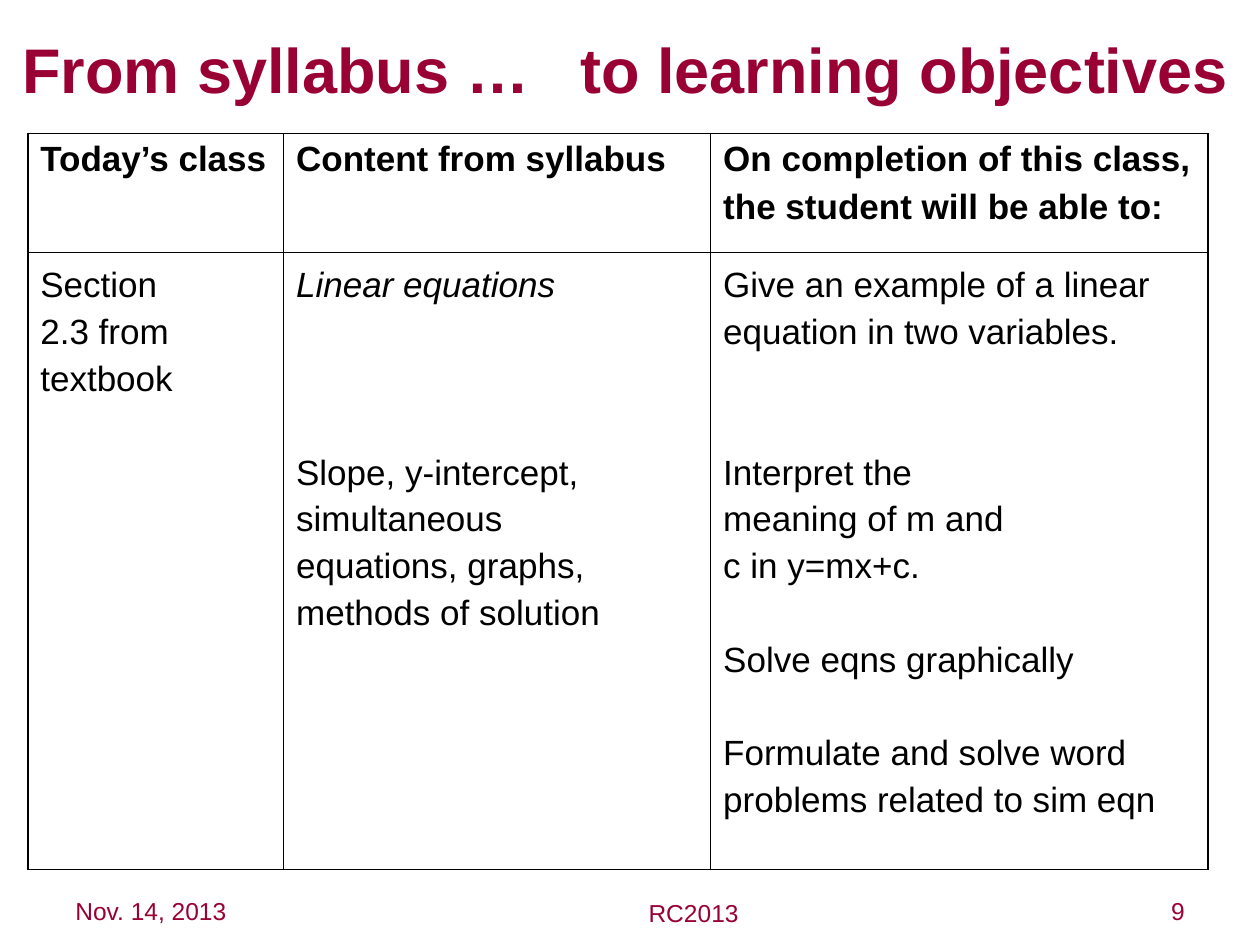
from lxml import etree
from pptx import Presentation
from pptx.dml.color import RGBColor
from pptx.enum.text import PP_ALIGN
from pptx.oxml.ns import qn
from pptx.util import Inches, Pt

LEFT, CENTER, RIGHT = PP_ALIGN.LEFT, PP_ALIGN.CENTER, PP_ALIGN.RIGHT
CRIMSON = RGBColor(0x99, 0x00, 0x33)
BLACK = RGBColor(0x00, 0x00, 0x00)
FONT = "Arial"
BODY_LINE = 26.75
OUTER_BORDER, INNER_BORDER = Pt(1.08), Pt(0.45)
COLUMN_WIDTHS = [2.03, 3.39, 3.95]
ROW_HEIGHTS = [0.94, 4.9]

HEADERS = [
    ["Today’s class"],
    ["Content from syllabus"],
    ["On completion of this class,", "the student will be able to:"],
]
# Each body entry is (text, blank lines before it).
BODY = [
    [("Section", 0), ("2.3 from", 0), ("textbook", 0)],
    [
        ("Linear equations", 0),
        ("Slope, y-intercept,", 3),
        ("simultaneous", 0),
        ("equations, graphs,", 0),
        ("methods of solution", 0),
    ],
    [
        ("Give an example of a linear equation in two variables.", 0),
        ("Interpret the", 2),
        ("meaning of m and", 0),
        ("c in y=mx+c.", 0),
        ("Solve eqns graphically", 1),
        ("Formulate and solve word problems related to sim eqn", 1),
    ],
]


def style_font(paragraph, size, color, bold=False):
    font = paragraph.font
    font.name, font.size, font.bold = FONT, Pt(size), bold
    font.color.rgb = color


def add_text(slide, text, left, top, width, height, size, alignment=LEFT, bold=False):
    shape = slide.shapes.add_textbox(
        Inches(left), Inches(top), Inches(width), Inches(height))
    shape.text_frame.word_wrap = True
    paragraph = shape.text_frame.paragraphs[0]
    paragraph.text = text
    paragraph.alignment = alignment
    style_font(paragraph, size, CRIMSON, bold)
    return paragraph


def add_tab_stop(paragraph, position):
    properties = paragraph._p.get_or_add_pPr()
    tabs = etree.Element(qn("a:tabLst"))
    etree.SubElement(tabs, qn("a:tab"), pos=str(Inches(position)), algn="l")
    properties.insert(0, tabs)


def set_borders(cell, widths):
    properties = cell._tc.get_or_add_tcPr()
    for index, (side, width) in enumerate(widths.items()):
        line = etree.Element(qn(f"a:ln{side}"), w=str(width))
        fill = etree.SubElement(line, qn("a:solidFill"))
        etree.SubElement(fill, qn("a:srgbClr"), val=str(BLACK))
        properties.insert(index, line)


def add_cell_paragraphs(cell, texts):
    cell.text = "\n".join(texts)
    return cell.text_frame.paragraphs


def fill_header(cell, texts):
    for paragraph in add_cell_paragraphs(cell, texts):
        paragraph.space_before = Pt(5)
        style_font(paragraph, 20, BLACK, bold=True)


def fill_body(cell, entries):
    paragraphs = add_cell_paragraphs(cell, [text for text, _ in entries])
    for paragraph, (_, blank_lines) in zip(paragraphs, entries):
        paragraph.line_spacing = 1.2
        paragraph.space_before = Pt(BODY_LINE * blank_lines)
        style_font(paragraph, 20, BLACK)


def add_objectives_table(slide):
    row_count, column_count = len(ROW_HEIGHTS), len(COLUMN_WIDTHS)
    table = slide.shapes.add_table(
        row_count, column_count, Inches(0.22), Inches(1.06),
        Inches(sum(COLUMN_WIDTHS)), Inches(sum(ROW_HEIGHTS))).table
    table.first_row = table.horz_banding = False
    for column, width in zip(table.columns, COLUMN_WIDTHS):
        column.width = Inches(width)
    for row, height in zip(table.rows, ROW_HEIGHTS):
        row.height = Inches(height)
    for column in range(column_count):
        fill_header(table.cell(0, column), HEADERS[column])
        fill_body(table.cell(1, column), BODY[column])
        for row in range(row_count):
            cell = table.cell(row, column)
            cell.fill.background()
            on_edge = {
                "L": column == 0,
                "R": column == column_count - 1,
                "T": row == 0,
                "B": row == row_count - 1,
            }
            set_borders(cell, {side: OUTER_BORDER if outer else INNER_BORDER
                               for side, outer in on_edge.items()})
    table.cell(1, 1).text_frame.paragraphs[0].font.italic = True


def main():
    presentation = Presentation()
    presentation.slide_width, presentation.slide_height = Inches(10), Inches(7.5)
    slide = presentation.slides.add_slide(presentation.slide_layouts[6])
    add_text(slide, "Nov. 14, 2013", 0.5, 7.06, 2.33, 0.44, 14)
    add_text(slide, "9", 8.08, 7.06, 1.42, 0.44, 14, RIGHT)
    add_text(slide, "RC2013", 3.92, 7.08, 3.17, 0.44, 14, CENTER)
    title = add_text(slide, "From syllabus …\tto learning objectives",
                     0.08, 0.19, 9.92, 0.7, 36, bold=True)
    add_tab_stop(title, 4.43)
    add_objectives_table(slide)
    presentation.save("out.pptx")


if __name__ == "__main__":
    main()
